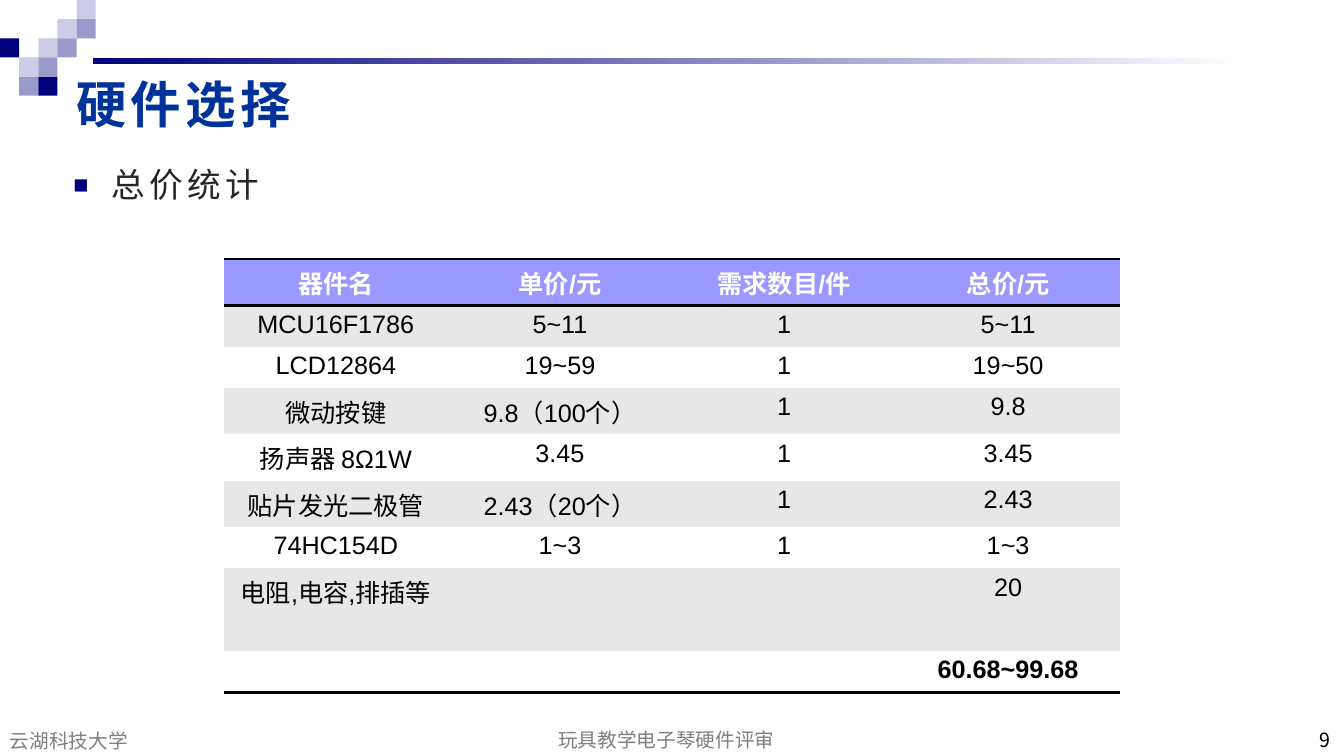
from dataclasses import dataclass

from lxml.etree import SubElement
from pptx import Presentation
from pptx.dml.color import RGBColor
from pptx.enum.shapes import MSO_SHAPE as Shape
from pptx.enum.text import MSO_ANCHOR as Anchor, PP_ALIGN as Align
from pptx.oxml import parse_xml
from pptx.oxml.ns import nsdecls, qn
from pptx.util import Inches, Pt

COLORS = {
    "navy": "00007D", "mid": "9999CC", "pale": "CCCCE6", "white": "FFFFFF",
    "title": "003399", "body": "262626", "footer": "808080", "black": "000000",
    "header": "9999FF", "band": "E7E7E7",
}
CJK = "Noto Sans CJK SC"
LATIN = "Arial"
NO_TABLE_STYLE = "{2D5ABB26-0587-4C30-8999-92F81FD0307C}"
SQUARE = 0.19
LATIN_ROW, CJK_ROW, TWO_LINE_ROW = 0.41, 0.46, 0.82


@dataclass
class Square:
    col: int
    row: int
    color: str


@dataclass
class Label:
    text: str
    left: float
    top: float
    width: float
    height: float
    size: float
    color: str
    align: Align = Align.LEFT
    anchor: Anchor = Anchor.BOTTOM
    bold: bool = False
    spacing: int = 0


@dataclass
class PriceRow:
    height: float
    cells: tuple[str, str, str, str]


SQUARES = [
    Square(1, 4, "mid"), Square(3, 1, "pale"), Square(4, 0, "pale"),
    Square(2, 4, "navy"), Square(4, 1, "mid"), Square(2, 2, "pale"),
    Square(0, 2, "navy"), Square(3, 2, "mid"), Square(1, 3, "pale"),
    Square(2, 3, "mid"),
]
TITLE = Label("硬件选择", 0.66, 0.67, 9.13, 0.71, 36, "title",
              anchor=Anchor.MIDDLE, bold=True, spacing=3)
BODY = Label("总价统计", 0.63, 1.48, 12.7, 5.59, 24, "body",
             anchor=Anchor.TOP, spacing=3)
FOOTERS = [
    Label("9", 10.18, 7.06, 3.11, 0.44, 14, "black", Align.RIGHT),
    Label("云湖科技大学", 0, 7.07, 4.07, 0.44, 14, "footer"),
    Label("玩具教学电子琴硬件评审", 4.5, 7.06, 4.22, 0.44, 14, "footer", Align.CENTER),
]
PRICES = [
    PriceRow(CJK_ROW, ("器件名", "单价/元", "需求数目/件", "总价/元")),
    PriceRow(LATIN_ROW, ("MCU16F1786", "5~11", "1", "5~11")),
    PriceRow(LATIN_ROW, ("LCD12864", "19~59", "1", "19~50")),
    PriceRow(CJK_ROW, ("微动按键", "9.8（100个）", "1", "9.8")),
    PriceRow(CJK_ROW, ("扬声器 8Ω1W", "3.45", "1", "3.45")),
    PriceRow(CJK_ROW, ("贴片发光二极管", "2.43（20个）", "1", "2.43")),
    PriceRow(LATIN_ROW, ("74HC154D", "1~3", "1", "1~3")),
    PriceRow(TWO_LINE_ROW, ("电阻,电容,排插等", "", "", "20")),
    PriceRow(LATIN_ROW, ("", "", "", "60.68~99.68")),
]


def rgb(name: str) -> RGBColor:
    return RGBColor.from_string(COLORS[name])


def add_run(p, text: str, size: float, color: str, font: str = CJK,
            bold: bool = False, spacing: int = 0) -> None:
    """Add a run whose East Asian text always uses the CJK font."""
    r = p.add_run()
    r.text = text
    r.font.size = Pt(size)
    r.font.bold = bold
    r.font.name = font
    r.font.color.rgb = rgb(color)
    props = r.font._element
    SubElement(props, qn("a:ea")).set("typeface", CJK)
    if spacing:
        props.set("spc", str(spacing * 100))


def add_rect(s, left: float, top: float, width: float, height: float):
    sp = s.shapes.add_shape(Shape.RECTANGLE, Inches(left), Inches(top),
                            Inches(width), Inches(height))
    sp.shadow.inherit = False
    sp.line.fill.background()
    return sp


def add_corner(s) -> None:
    """Draw the fading rule and the checkered squares at the top left."""
    rule = add_rect(s, 0.92, 0.58, 11.37, 0.06)
    rule.fill.gradient()
    rule.fill.gradient_angle = 0
    for stop, name in zip(rule.fill.gradient_stops, ("navy", "white")):
        stop.color.rgb = rgb(name)
    for sq in SQUARES:
        sp = add_rect(s, sq.col * SQUARE, sq.row * SQUARE, SQUARE, SQUARE)
        sp.fill.solid()
        sp.fill.fore_color.rgb = rgb(sq.color)


def add_label(s, label: Label):
    """Add a text box and return its paragraph."""
    sp = s.shapes.add_textbox(Inches(label.left), Inches(label.top),
                              Inches(label.width), Inches(label.height))
    tf = sp.text_frame
    tf.word_wrap = True
    tf.vertical_anchor = label.anchor
    p = tf.paragraphs[0]
    p.alignment = label.align
    add_run(p, label.text, label.size, label.color,
            bold=label.bold, spacing=label.spacing)
    return p


def add_bullet(p) -> None:
    p.line_spacing = 1.25
    p.space_before = Pt(4.8)
    props = p._p.get_or_add_pPr()
    props.set("marL", str(Inches(0.38)))
    props.set("indent", str(Inches(-0.38)))
    color = SubElement(props, qn("a:buClr"))
    SubElement(color, qn("a:srgbClr")).set("val", COLORS["navy"])
    SubElement(props, qn("a:buSzPct")).set("val", "75000")
    SubElement(props, qn("a:buFont")).set("typeface", LATIN)
    SubElement(props, qn("a:buChar")).set("char", "■")


def add_borders(cell, sides: str) -> None:
    """Rule the given sides, named by T and B in that order."""
    for i, side in enumerate(sides):
        cell._tc.get_or_add_tcPr().insert(i, parse_xml(
            f'<a:ln{side} {nsdecls("a")} w="{Pt(2)}"><a:solidFill>'
            f'<a:srgbClr val="{COLORS["black"]}"/></a:solidFill></a:ln{side}>'))


def add_price_table(s) -> None:
    last = len(PRICES) - 1
    height = sum(row.height for row in PRICES)
    table = s.shapes.add_table(len(PRICES), len(PRICES[0].cells), Inches(2.22),
                               Inches(2.57), Inches(8.89), Inches(height)).table
    table.first_row = table.horz_banding = False
    table._tbl.tblPr.find(qn("a:tableStyleId")).text = NO_TABLE_STYLE
    for i, row in enumerate(PRICES):
        table.rows[i].height = Inches(row.height)
        header = i == 0
        fill = "header" if header else "band" if i % 2 else "white"
        for j, text in enumerate(row.cells):
            cell = table.cell(i, j)
            cell.fill.solid()
            cell.fill.fore_color.rgb = rgb(fill)
            add_borders(cell, "TB" if header else "B" if i == last else "")
            p = cell.text_frame.paragraphs[0]
            p.alignment = Align.CENTER
            if text:
                add_run(p, text, 18, "white" if header else "black",
                        font=LATIN, bold=i in (0, last))


def main() -> None:
    prs = Presentation()
    prs.slide_width, prs.slide_height = Inches(13.33), Inches(7.5)
    s = prs.slides.add_slide(prs.slide_layouts[6])
    add_corner(s)
    add_label(s, TITLE)
    add_bullet(add_label(s, BODY))
    for footer in FOOTERS:
        add_label(s, footer)
    add_price_table(s)
    prs.save("out.pptx")


if __name__ == "__main__":
    main()
